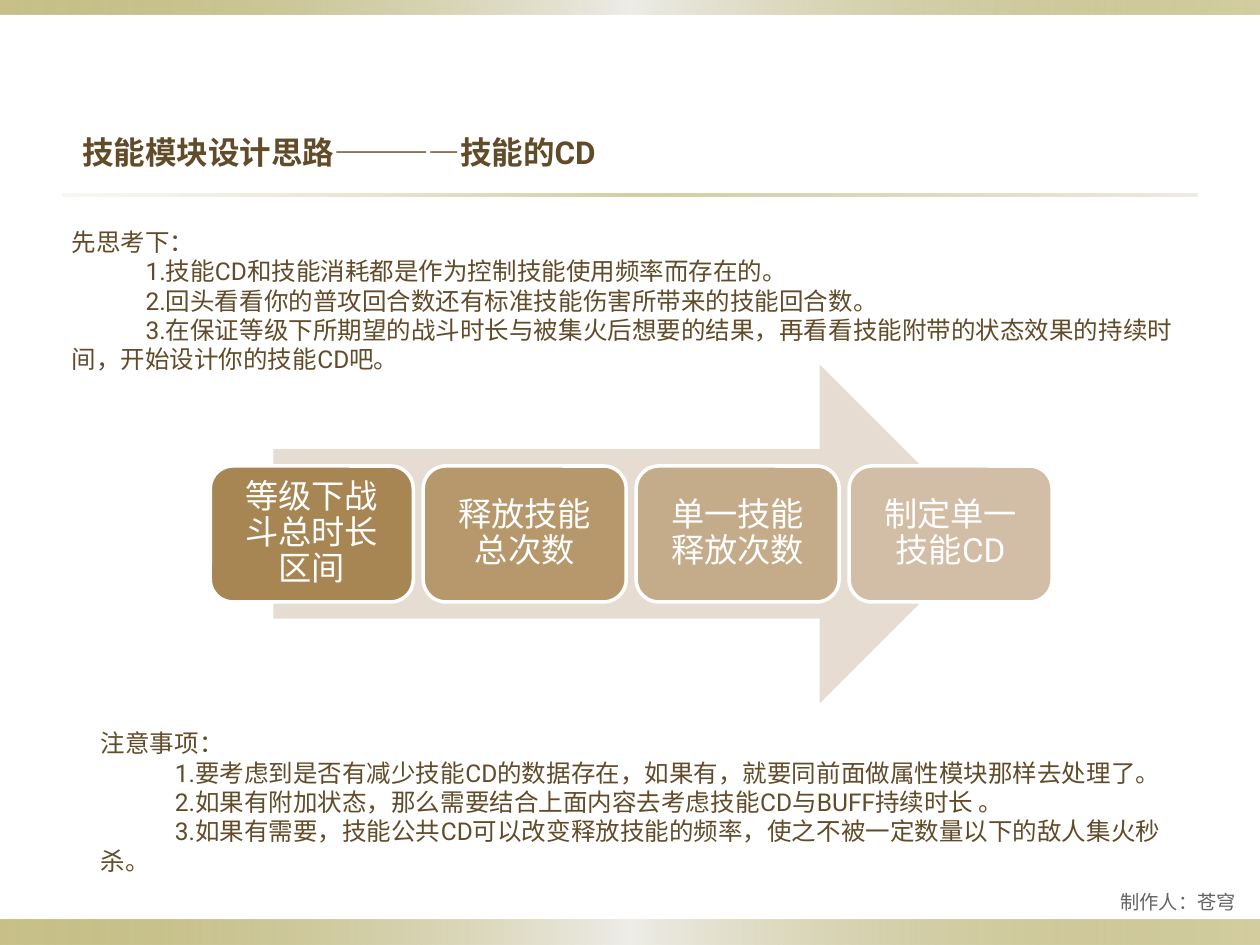
from dataclasses import dataclass

from lxml import etree
from pptx import Presentation
from pptx.dml.color import RGBColor
from pptx.enum.shapes import MSO_SHAPE
from pptx.enum.text import MSO_ANCHOR, MSO_AUTO_SIZE, PP_ALIGN
from pptx.oxml.ns import qn
from pptx.util import Cm, Pt

RECTANGLE = MSO_SHAPE.RECTANGLE
ROUNDED = MSO_SHAPE.ROUNDED_RECTANGLE
RIGHT_ARROW = MSO_SHAPE.RIGHT_ARROW
LEFT, CENTER, RIGHT = PP_ALIGN.LEFT, PP_ALIGN.CENTER, PP_ALIGN.RIGHT
TOP, MIDDLE = MSO_ANCHOR.TOP, MSO_ANCHOR.MIDDLE
TWO_CONTENT_LAYOUT = 3


@dataclass(frozen=True)
class Theme:
    font: str = "Roboto"
    text: str = "614B29"
    credit: str = "636363"
    white: str = "FFFFFF"
    arrow: str = "E6DCD2"
    steps: tuple = ("A88653", "B7986D", "C4AB8A", "D2BDA6")
    # Gradient stops: position, colour and opacity in percent
    band: tuple = ((0, "918415", 50), (50, "EEEDE8", 100), (100, "918415", 40))
    rule: tuple = ((0, "DCD9CC", 20), (50, "918415", 40), (100, "DCD9CC", 50))
    title_size: int = 18
    body_size: int = 14
    step_size: int = 19
    credit_size: int = 11


@dataclass(frozen=True)
class Box:
    """A region of the slide, in centimetres."""
    left: float
    top: float
    width: float
    height: float

    def lengths(self):
        return Cm(self.left), Cm(self.top), Cm(self.width), Cm(self.height)


THEME = Theme()

THOUGHTS = (
    "先思考下：",
    "1.技能CD和技能消耗都是作为控制技能使用频率而存在的。",
    "2.回头看看你的普攻回合数还有标准技能伤害所带来的技能回合数。",
    "3.在保证等级下所期望的战斗时长与被集火后想要的结果，"
    "再看看技能附带的状态效果的持续时间，开始设计你的技能CD吧。",
)
NOTICES = (
    "注意事项：",
    "1.要考虑到是否有减少技能CD的数据存在，如果有，就要同前面做属性模块那样去处理了。",
    "2.如果有附加状态，那么需要结合上面内容去考虑技能CD与BUFF持续时长 。",
    "3.如果有需要，技能公共CD可以改变释放技能的频率，使之不被一定数量以下的敌人集火秒杀。",
)
STEPS = ("等级下战斗总时长区间", "释放技能总次数", "单一技能释放次数", "制定单一技能CD")


def place(shape, box):
    shape.left, shape.top, shape.width, shape.height = box.lengths()


def format_text(text_frame, size, color, alignment=LEFT, anchor=MIDDLE, bold=False):
    text_frame.word_wrap = True
    text_frame.auto_size = MSO_AUTO_SIZE.NONE
    text_frame.vertical_anchor = anchor
    for paragraph in text_frame.paragraphs:
        paragraph.alignment = alignment
        for run in paragraph.runs:
            run.font.name = THEME.font
            run.font.size = Pt(size)
            run.font.bold = bold
            run.font.color.rgb = RGBColor.from_string(color)


def add_plain_shape(slide, kind, box, color):
    shape = slide.shapes.add_shape(kind, *box.lengths())
    shape.shadow.inherit = False
    shape.fill.solid()
    shape.fill.fore_color.rgb = RGBColor.from_string(color)
    shape.line.fill.background()
    return shape


def add_gradient_bar(slide, box, stops):
    bar = add_plain_shape(slide, RECTANGLE, box, THEME.white)
    solid = bar._element.spPr.find(qn("a:solidFill"))
    gradient = etree.Element(qn("a:gradFill"), rotWithShape="1")
    stop_list = etree.SubElement(gradient, qn("a:gsLst"))
    for position, color, opacity in stops:
        stop = etree.SubElement(stop_list, qn("a:gs"), pos=str(position * 1000))
        value = etree.SubElement(stop, qn("a:srgbClr"), val=color)
        etree.SubElement(value, qn("a:alpha"), val=str(opacity * 1000))
    etree.SubElement(gradient, qn("a:lin"), ang="0", scaled="0")
    solid.getparent().replace(solid, gradient)


def add_frame(slide, box):
    """Bands along the top and bottom edges, and the rule below the title."""
    bottom = 0.51
    add_gradient_bar(
        slide, Box(box.left, box.top + box.height - bottom, box.width, bottom), THEME.band)
    add_gradient_bar(slide, Box(box.left, box.top, box.width, 0.3), THEME.band)
    add_gradient_bar(
        slide, Box(box.left + 1.27, box.top + 3.91, box.width - 2.54, 0.05), THEME.rule)


def add_credit(slide, box):
    credit = slide.shapes.add_textbox(*box.lengths())
    credit.text_frame.text = "制作人：苍穹"
    format_text(credit.text_frame, THEME.credit_size, THEME.credit, RIGHT)


def fill_title(title, box):
    place(title, box)
    title.text_frame.text = "技能模块设计思路————技能的CD"
    format_text(title.text_frame, THEME.title_size, THEME.text, bold=True)


def fill_list(body, box, lines):
    """A heading line, then numbered lines whose first line is indented."""
    place(body, box)
    text_frame = body.text_frame
    text_frame.text = "\n".join(lines)
    text_frame.margin_top = text_frame.margin_bottom = Cm(0.2)
    for index, paragraph in enumerate(text_frame.paragraphs):
        properties = paragraph._p.get_or_add_pPr()
        properties.set("marL", "0")
        properties.set("indent", str(Cm(1.49) if index else 0))
        etree.SubElement(properties, qn("a:buNone"))
        paragraph.space_before = Pt(0)
    format_text(text_frame, THEME.body_size, THEME.text, anchor=TOP)


def add_process(slide, box):
    """A wide arrow with a row of evenly spaced steps across its middle."""
    side, gap, height = 1.27, 0.2, 2.74
    arrow = Box(box.left + side, box.top, box.width - 2 * side, box.height)
    add_plain_shape(slide, RIGHT_ARROW, arrow, THEME.arrow)
    width = (box.width - gap * (len(STEPS) - 1)) / len(STEPS)
    top = box.top + (box.height - height) / 2
    for index, (label, color) in enumerate(zip(STEPS, THEME.steps)):
        left = box.left + index * (width + gap)
        step = add_plain_shape(slide, ROUNDED, Box(left, top, width, height), color)
        step.line.color.rgb = RGBColor.from_string(THEME.white)
        step.line.width = Pt(2)
        text_frame = step.text_frame
        text_frame.text = label
        text_frame.margin_left = text_frame.margin_right = Cm(0.33)
        text_frame.paragraphs[0].line_spacing = 0.9
        format_text(text_frame, THEME.step_size, THEME.white, CENTER)


def main():
    presentation = Presentation()
    presentation.slide_width, presentation.slide_height = Cm(25.4), Cm(19.05)
    slide = presentation.slides.add_slide(presentation.slide_layouts[TWO_CONTENT_LAYOUT])
    title, thoughts, notices = slide.placeholders
    add_frame(slide, Box(0, 0, 25.4, 19.05))
    add_credit(slide, Box(14.81, 17.78, 10.36, 0.79))
    fill_title(title, Box(1.4, 1.98, 13.28, 2.18))
    fill_list(thoughts, Box(1.19, 4.37, 23.01, 3.4), THOUGHTS)
    add_process(slide, Box(4.24, 7.35, 16.97, 6.83))
    fill_list(notices, Box(1.78, 14.48, 22.02, 3.4), NOTICES)
    presentation.save("out.pptx")


if __name__ == "__main__":
    main()
